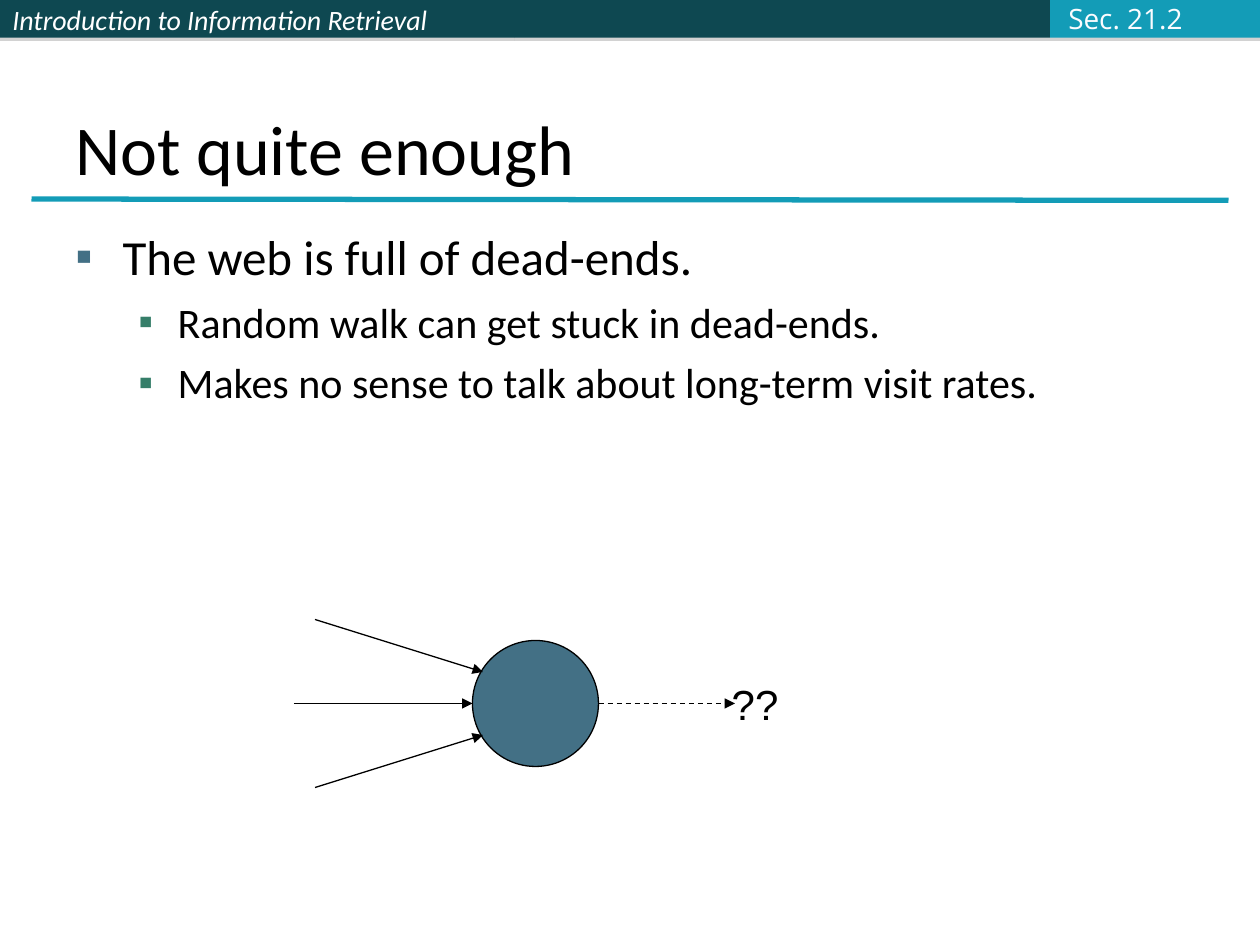
from dataclasses import dataclass

from lxml import etree
from pptx import Presentation
from pptx.dml.color import RGBColor
from pptx.enum.dml import MSO_LINE
from pptx.enum.shapes import MSO_CONNECTOR, MSO_SHAPE
from pptx.enum.text import MSO_ANCHOR, PP_ALIGN
from pptx.oxml import parse_xml
from pptx.oxml.ns import nsdecls, qn
from pptx.util import Pt

RECT, OVAL = MSO_SHAPE.RECTANGLE, MSO_SHAPE.OVAL
LINE, DASH = MSO_CONNECTOR.STRAIGHT, MSO_LINE.DASH
TOP, MIDDLE, BOTTOM = MSO_ANCHOR.TOP, MSO_ANCHOR.MIDDLE, MSO_ANCHOR.BOTTOM
LEFT, CENTER = PP_ALIGN.LEFT, PP_ALIGN.CENTER


@dataclass(frozen=True)
class Theme:
    dark: str = "0E4851"
    teal: str = "139CB7"
    blue: str = "437085"
    green: str = "357E69"
    black: str = "000000"
    white: str = "FFFFFF"
    pale: str = "FBFCFF"
    shade: str = "808080"
    body: str = "Calibri"
    plain: str = "Arial"
    tag: str = "Open Sans"
    title: int = 40
    lead: int = 28
    sub: int = 24
    small: int = 16


class Deck:
    """Holds the theme and the current slide."""

    def __init__(self, theme, slide):
        self.theme = theme
        self.slide = slide

    def style(self, para, size, color, font, italic=False):
        for run in para.runs:
            run.font.size = Pt(size)
            run.font.name = font
            run.font.italic = italic
            run.font.color.rgb = RGBColor.from_string(color)

    def shape(self, kind, box, fill, edge=None):
        item = self.slide.shapes.add_shape(kind, *map(Pt, box))
        item.shadow.inherit = False
        item.fill.solid()
        item.fill.fore_color.rgb = RGBColor.from_string(fill)
        if edge:
            item.line.color.rgb = RGBColor.from_string(edge)
            item.line.width = Pt(0.75)
        else:
            item.line.fill.background()
        return item

    def bar(self, left, width, fill):
        """Header block with a thin shadow below it."""
        item = self.shape(RECT, (left, 0, width, 21.6), fill)
        effect = item.element.spPr.find(qn("a:effectLst"))
        effect.append(parse_xml(
            f'<a:outerShdw {nsdecls("a")} blurRad="0" dist="{Pt(1.8)}" dir="5400000">'
            f'<a:srgbClr val="{self.theme.shade}"><a:alpha val="35000"/></a:srgbClr>'
            '</a:outerShdw>'))
        return item

    def label(self, box, text, size, color, font, anchor=MIDDLE, align=LEFT, wrap=True):
        frame = self.slide.shapes.add_textbox(*map(Pt, box)).text_frame
        frame.word_wrap = wrap
        frame.vertical_anchor = anchor
        frame.text = text
        para = frame.paragraphs[0]
        para.alignment = align
        self.style(para, size, color, font)

    def points(self, box, rows):
        """Bulleted list; each row is a level and its text."""
        look = self.theme
        levels = ((look.lead, look.blue, 7, 27, -27),
                  (look.sub, look.green, 6, 58.5, -22.5))
        frame = self.slide.shapes.add_textbox(*map(Pt, box)).text_frame
        frame.word_wrap = True
        frame.vertical_anchor = TOP
        frame.text = "\n".join(text for _, text in rows)
        for para, (level, _) in zip(frame.paragraphs, rows):
            size, color, space, margin, indent = levels[level]
            para.level = level
            para.space_before = Pt(space)
            self.style(para, size, look.black, look.body)
            props = para._p.get_or_add_pPr()
            props.set("marL", str(Pt(margin)))
            props.set("indent", str(Pt(indent)))
            tint = etree.SubElement(props, qn("a:buClr"))
            etree.SubElement(tint, qn("a:srgbClr"), val=color)
            etree.SubElement(props, qn("a:buFont"), typeface=look.plain)
            etree.SubElement(props, qn("a:buChar"), char="▪")

    def line(self, start, end, color, width):
        item = self.slide.shapes.add_connector(LINE, *map(Pt, (*start, *end)))
        item.line.color.rgb = RGBColor.from_string(color)
        item.line.width = Pt(width)
        etree.SubElement(item.element.spPr, qn("a:effectLst"))
        return item

    def arrow(self, start, end, dash=False):
        item = self.line(start, end, self.theme.black, 0.75)
        if dash:
            item.line.dash_style = DASH
        stroke = item.element.spPr.find(qn("a:ln"))
        etree.SubElement(stroke, qn("a:tailEnd"), type="triangle")


def main():
    look = Theme()
    show = Presentation()
    show.slide_width, show.slide_height = Pt(720), Pt(540)
    deck = Deck(look, show.slides.add_slide(show.slide_layouts[6]))

    course = deck.bar(0, 293.76, look.dark)
    deck.bar(293.76, 306.24, look.dark)
    deck.bar(600, 120, look.teal)
    frame = course.text_frame
    frame.vertical_anchor = MIDDLE
    frame.text = "Introduction to Information Retrieval"
    frame.paragraphs[0].alignment = LEFT
    deck.style(frame.paragraphs[0], look.small, look.white, look.body, italic=True)

    deck.line((18, 113.75), (702, 114.5), look.teal, 3)
    deck.label((36, 21.6, 648, 90), "Not quite enough",
               look.title, look.black, look.body, anchor=BOTTOM)
    deck.points((36, 126, 648, 390), (
        (0, "The web is full of dead-ends."),
        (1, "Random walk can get stuck in dead-ends."),
        (1, "Makes no sense to talk about long-term visit rates."),
    ))

    mid, node = 402, 270
    deck.shape(OVAL, (node, mid - 36, 72, 72), look.blue, look.black)
    for side in (1, -1):
        deck.arrow((180, mid + side * 48), (node + 6, mid + side * 18))
    deck.arrow((168, mid), (node, mid))
    deck.arrow((node + 72, mid), (420, mid), dash=True)
    deck.label((411, 384, 41, 36), "??", look.sub, look.black, look.plain,
               align=CENTER, wrap=False)
    deck.label((603.4, -2.7, 80, 26.6), "Sec. 21.2", look.small, look.pale,
               look.tag, wrap=False)

    show.save("out.pptx")


if __name__ == "__main__":
    main()
